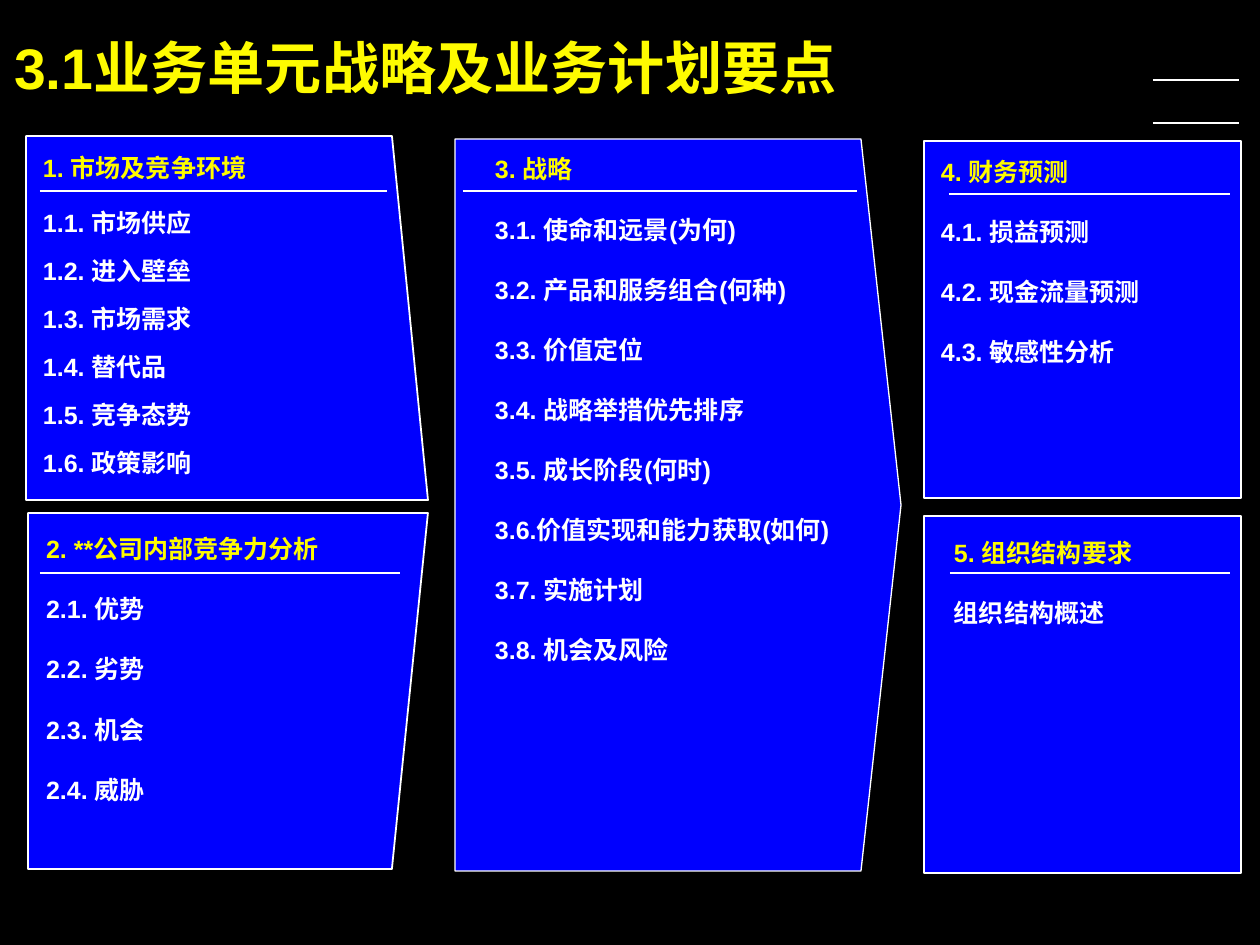
import pptx
import pptx.dml.color
import pptx.enum.shapes
import pptx.enum.text
import pptx.util
import lxml.etree

PX = 7112
BLACK = pptx.dml.color.RGBColor(0x00, 0x00, 0x00)
WHITE = pptx.dml.color.RGBColor(0xFF, 0xFF, 0xFF)
YELLOW = pptx.dml.color.RGBColor(0xFE, 0xFB, 0x00)
BLUE = pptx.dml.color.RGBColor(0x00, 0x00, 0xFE)
LINE_HEIGHT = 16.8

TITLE = "3.1业务单元战略及业务计划要点"
TITLE_BOX = (14, 32, 1223, 70)
CORNER_RULES = [(1153, 1239, 80), (1153, 1239, 123)]

PANELS = [
    {
        "heading": "1. 市场及竞争环境",
        "items": ["1.1. 市场供应", "1.2. 进入壁垒", "1.3. 市场需求",
                  "1.4. 替代品", "1.5. 竞争态势", "1.6. 政策影响"],
        "outline": [(26, 136), (392, 136), (428, 500), (26, 500)],
        "text_box": (43, 152, 340, 324),
        "rule": (40, 387, 191),
        "first_gap": 14, "gap": 10.08,
    },
    {
        "heading": "2. **公司内部竞争力分析",
        "items": ["2.1. 优势", "2.2. 劣势", "2.3. 机会", "2.4. 威胁"],
        "outline": [(28, 869), (392, 869), (428, 513), (28, 513)],
        "text_box": (46, 534, 340, 270),
        "rule": (40, 400, 573),
    },
    {
        "heading": "3. 战略",
        "items": ["3.1. 使命和远景(为何)", "3.2. 产品和服务组合(何种)",
                  "3.3. 价值定位", "3.4. 战略举措优先排序",
                  "3.5. 成长阶段(何时)", "3.6.价值实现和能力获取(如何)",
                  "3.7. 实施计划", "3.8. 机会及风险"],
        "outline": [(455, 139), (861, 139), (901, 505), (861, 871), (455, 871)],
        "line_width": 0.75,
        "text_box": (495, 154, 410, 510),
        "rule": (463, 857, 191),
    },
    {
        "heading": "4. 财务预测",
        "items": ["4.1. 损益预测", "4.2. 现金流量预测", "4.3. 敏感性分析"],
        "box": (924, 141, 317, 357),
        "text_box": (941, 156, 239, 240),
        "rule": (949, 1230, 194),
    },
    {
        "heading": "5. 组织结构要求",
        "items": ["组织结构概述"],
        "box": (924, 516, 317, 357),
        "text_box": (954, 538, 270, 180),
        "rule": (950, 1230, 573),
    },
]


def emu(lengths):
    return [length * PX for length in lengths]


def write(paragraph, text, size=14, color=WHITE, before=0, line_height=None):
    paragraph.space_before = pptx.util.Pt(before)
    if line_height:
        paragraph.line_spacing = pptx.util.Pt(line_height)
    run = paragraph.add_run()
    run.text = text
    run.font.name = "Arial"
    run.font.size = pptx.util.Pt(size)
    run.font.bold = True
    run.font.color.rgb = color


def add_text_frame(slide, box):
    frame = slide.shapes.add_textbox(*emu(box)).text_frame
    frame.margin_left = frame.margin_right = 0
    frame.margin_top = frame.margin_bottom = 0
    frame.vertical_anchor = pptx.enum.text.MSO_ANCHOR.TOP
    frame.word_wrap = True
    return frame


def add_rule(slide, left, right, y):
    rule = slide.shapes.add_connector(
        pptx.enum.shapes.MSO_CONNECTOR.STRAIGHT, *emu((left, y, right, y)))
    rule.line.color.rgb = WHITE
    rule.line.width = pptx.util.Pt(1)
    lxml.etree.SubElement(rule.line._get_or_add_ln().getparent(),
                          pptx.oxml.ns.qn("a:effectLst"))


def add_panel(slide, panel):
    if "outline" in panel:
        start, *corners = panel["outline"]
        builder = slide.shapes.build_freeform(*start, scale=PX)
        builder.add_line_segments(corners, close=True)
        background = builder.convert_to_shape()
    else:
        background = slide.shapes.add_shape(
            pptx.enum.shapes.MSO_SHAPE.RECTANGLE, *emu(panel["box"]))
    background.shadow.inherit = False
    background.fill.solid()
    background.fill.fore_color.rgb = BLUE
    background.line.color.rgb = WHITE
    background.line.width = pptx.util.Pt(panel.get("line_width", 1))

    frame = add_text_frame(slide, panel["text_box"])
    write(frame.paragraphs[0], panel["heading"], color=YELLOW,
          line_height=LINE_HEIGHT)
    gap = panel.get("gap", LINE_HEIGHT)
    for index, item in enumerate(panel["items"]):
        before = gap if index else panel.get("first_gap", gap)
        write(frame.add_paragraph(), item, before=before,
              line_height=LINE_HEIGHT)
    add_rule(slide, *panel["rule"])


def main():
    deck = pptx.Presentation()
    deck.slide_width, deck.slide_height = emu((1260, 945))
    slide = deck.slides.add_slide(deck.slide_layouts[6])
    slide.background.fill.solid()
    slide.background.fill.fore_color.rgb = BLACK

    for corner_rule in CORNER_RULES:
        add_rule(slide, *corner_rule)
    write(add_text_frame(slide, TITLE_BOX).paragraphs[0], TITLE,
          size=32, color=YELLOW)
    for panel in PANELS:
        add_panel(slide, panel)
    deck.save("out.pptx")


if __name__ == "__main__":
    main()
